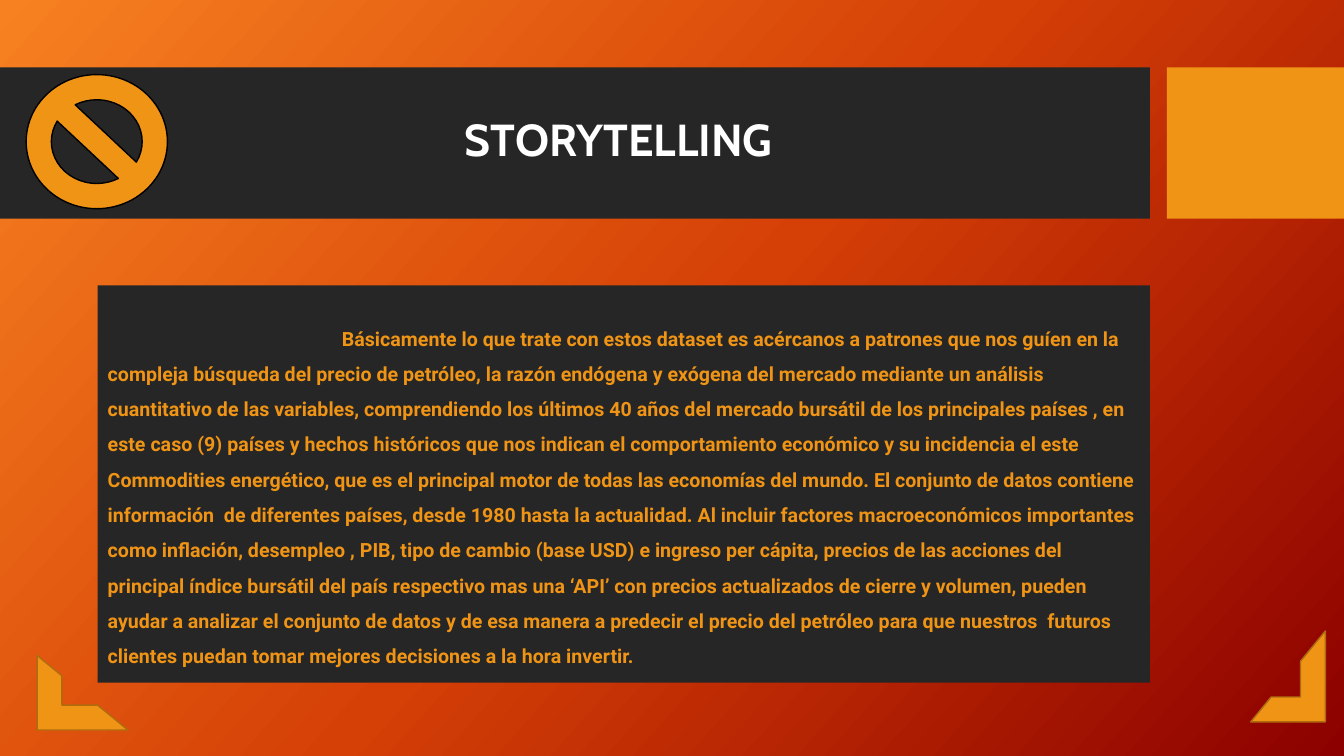
import copy
from dataclasses import dataclass

import pptx
import pptx.dml.color
import pptx.enum.shapes
import pptx.enum.text
import pptx.util
from pptx.oxml.ns import qn

Cm = pptx.util.Cm
Pt = pptx.util.Pt
RGB = pptx.dml.color.RGBColor.from_string
SHAPE = pptx.enum.shapes.MSO_SHAPE
ANCHOR = pptx.enum.text.MSO_ANCHOR


@dataclass(frozen=True)
class Theme:
    gradient: tuple = ((0, "F78121"), (0.5, "D54006"), (1, "8C0000"))
    gradient_angle: int = 42
    panel: str = "262626"
    accent: str = "F09415"
    accent_edge: str = "AF6C0F"
    outline: str = "000000"
    title_color: str = "FFFFFF"
    title_font: str = "Cabin"
    title_size: int = 32
    body_font: str = "Roboto"
    body_size: int = 14


THEME = Theme()
SLIDE_W, SLIDE_H = 33.87, 19.05
BODY_SENTENCES = (
    "Básicamente lo que trate con estos dataset es acércanos a patrones que nos guíen en la "
    "compleja búsqueda del precio de petróleo, la razón endógena y exógena del mercado mediante "
    "un análisis cuantitativo de las variables, comprendiendo los últimos 40 años del mercado "
    "bursátil de los principales países , en este caso (9) países y hechos históricos que nos "
    "indican el comportamiento económico y su incidencia el este Commodities energético, que es "
    "el principal motor de todas las economías del mundo.",
    "El conjunto de datos contiene información  de diferentes países, desde 1980 hasta la "
    "actualidad.",
    "Al incluir factores macroeconómicos importantes como inflación, desempleo , PIB, tipo de "
    "cambio (base USD) e ingreso per cápita, precios de las acciones del principal índice "
    "bursátil del país respectivo mas una ‘API’ con precios actualizados de cierre y volumen, "
    "pueden ayudar a analizar el conjunto de datos y de esa manera a predecir el precio del "
    "petróleo para que nuestros  futuros clientes puedan tomar mejores decisiones a la hora "
    "invertir.",
)


def place(sp, left, top, width, height):
    sp.left, sp.top, sp.width, sp.height = Cm(left), Cm(top), Cm(width), Cm(height)


def add_shape(slide, kind, box, fill, line=None, adjustments=(), rotation=0):
    sp = slide.shapes.add_shape(kind, *map(Cm, box))
    sp.shadow.inherit = False
    sp.fill.solid()
    sp.fill.fore_color.rgb = RGB(fill)
    if line:
        sp.line.color.rgb = RGB(line)
        sp.line.width = Pt(1)
    else:
        sp.line.fill.background()
    for i, value in enumerate(adjustments):
        sp.adjustments[i] = value
    sp.rotation = rotation


def write_text(sp, text, font, size, color, spacing, anchor):
    tf = sp.text_frame
    tf.text = text
    tf.word_wrap = True
    tf.auto_size = pptx.enum.text.MSO_AUTO_SIZE.NONE
    tf.vertical_anchor = anchor
    p = tf.paragraphs[0]
    p.alignment = pptx.enum.text.PP_ALIGN.LEFT
    p.line_spacing = spacing
    p.space_before = Pt(0)
    r = p.runs[0]
    r.font.name, r.font.size, r.font.bold = font, Pt(size), True
    r.font.color.rgb = RGB(color)
    return p


def paint_background(slide):
    fill = slide.background.fill
    fill.gradient()
    fill.gradient_angle = 360 - THEME.gradient_angle
    last = slide.element.findall(".//" + qn("a:gs"))[-1]
    last.addnext(copy.deepcopy(last))
    for stop, (position, color) in zip(fill.gradient_stops, THEME.gradient):
        stop.position = position
        stop.color.rgb = RGB(color)


def build_header(slide, left, top, width, height):
    bar_w, gap = 28.98, 0.43
    block_left = left + bar_w + gap
    add_shape(slide, SHAPE.RECTANGLE, (left, top, bar_w, height), THEME.panel)
    add_shape(slide, SHAPE.RECTANGLE, (block_left, top, left + width - block_left, height),
              THEME.accent)
    add_shape(slide, SHAPE.NO_SYMBOL, (left + 0.66, top + 0.18, 3.56, 3.38),
              THEME.accent, THEME.outline, (0.188,))
    title = slide.shapes.title
    slide.shapes.element.append(title.element)
    title_left = left + 11.46
    place(title, title_left, top + 1.12, left + bar_w - title_left, 1.5)
    write_text(title, "STORYTELLING", THEME.title_font, THEME.title_size,
               THEME.title_color, 0.9, ANCHOR.MIDDLE)


def build_body(slide, left, top, width, height):
    body = slide.placeholders[1]
    slide.shapes.element.append(body.element)
    place(body, left, top, width, height)
    body.fill.solid()
    body.fill.fore_color.rgb = RGB(THEME.panel)
    p = write_text(body, " ".join(BODY_SENTENCES), THEME.body_font, THEME.body_size,
                   THEME.accent, 1.5, ANCHOR.TOP)
    body.text_frame.margin_top = Cm(0.74)
    pPr = p._p.get_or_add_pPr()
    pPr.set("marL", "0")
    pPr.set("indent", str(Cm(5.9)))
    pPr.append(pPr.makeelement(qn("a:buNone"), {}))


def build_corner(slide, left, top, width, height, rotation):
    add_shape(slide, SHAPE.HALF_FRAME, (left, top, width, height),
              THEME.accent, THEME.accent_edge, (0.333, 0.333), rotation)


def main():
    prs = pptx.Presentation()
    prs.slide_width, prs.slide_height = Cm(SLIDE_W), Cm(SLIDE_H)
    slide = prs.slides.add_slide(prs.slide_layouts[1])
    paint_background(slide)
    build_header(slide, 0, 1.7, SLIDE_W, 3.81)
    build_body(slide, 2.46, 7.19, 26.52, 10.01)
    build_corner(slide, 1.14, 16.31, 1.88, 2.29, 270)
    build_corner(slide, 31.52, 15.9, 1.88, 2.29, 180)
    prs.save("out.pptx")


if __name__ == "__main__":
    main()
